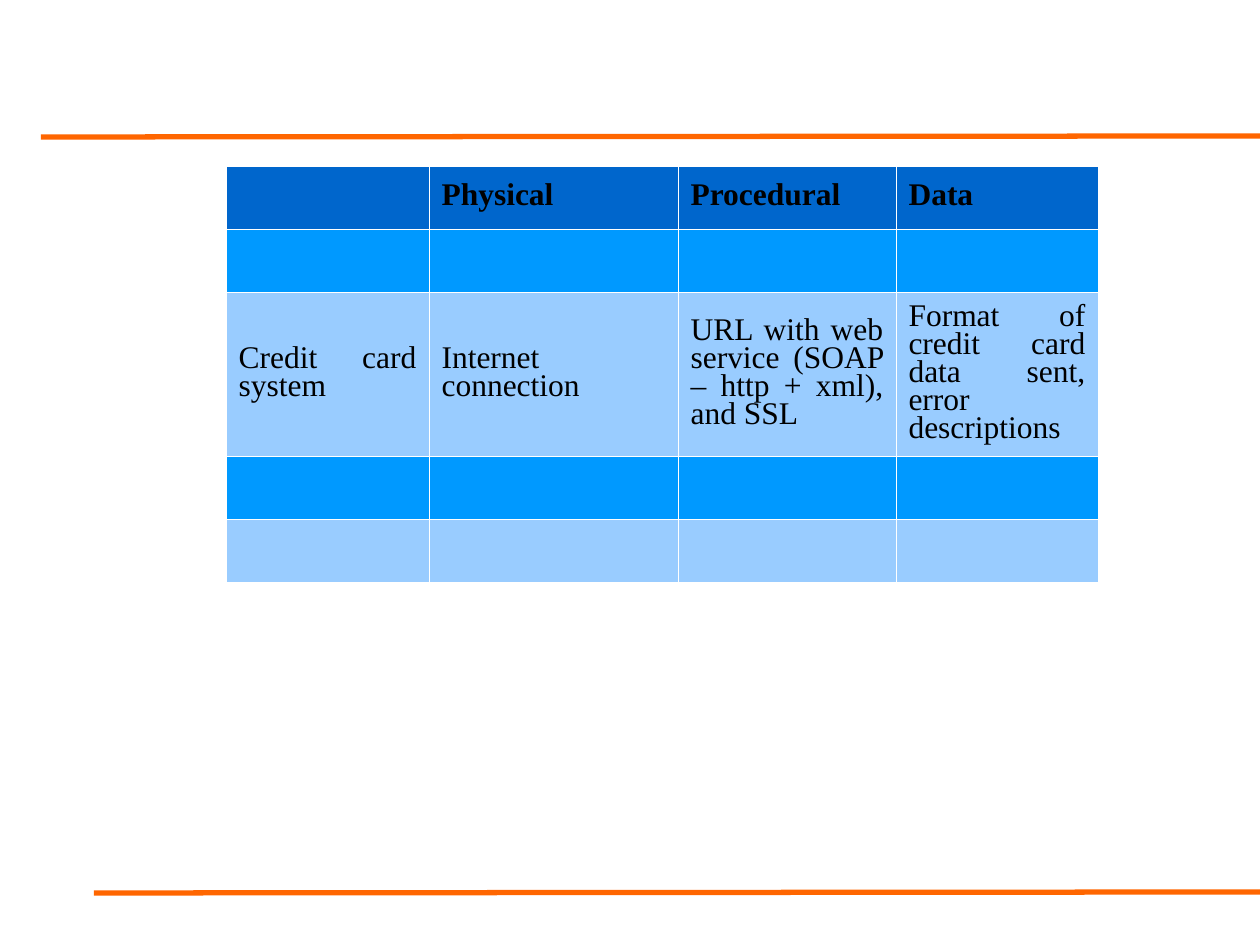
import pptx
import pptx.dml.color
import pptx.enum.shapes
import pptx.enum.text
import pptx.oxml.ns
import pptx.util
import lxml.etree

ORANGE = pptx.dml.color.RGBColor(0xFF, 0x66, 0x00)
NAVY = pptx.dml.color.RGBColor(0x00, 0x66, 0xCC)
AZURE = pptx.dml.color.RGBColor(0x00, 0x99, 0xFF)
PALE = pptx.dml.color.RGBColor(0x99, 0xCC, 0xFF)
WHITE = pptx.dml.color.RGBColor(0xFF, 0xFF, 0xFF)
BLACK = pptx.dml.color.RGBColor(0x00, 0x00, 0x00)

EMU_PER_PX = 914400 / 126
HAIRLINE = pptx.util.Pt(0.06)

COLUMN_WIDTHS = [203, 249, 218, 202]
ROW_HEIGHTS = [63, 63, 164, 63, 63]
INTERFACES = [
    ["", "Physical", "Procedural", "Data"],
    [""] * 4,
    [
        "Credit card system",
        "Internet connection",
        "URL with web service (SOAP – http + xml), and SSL ",
        "Format of credit card data sent, error descriptions",
    ],
    [""] * 4,
    [""] * 4,
]


def px(length):
    return pptx.util.Emu(round(length * EMU_PER_PX))


def add_child(parent, tag, **attributes):
    child = lxml.etree.SubElement(parent, pptx.oxml.ns.qn(tag))
    for name, value in attributes.items():
        child.set(name, str(value))
    return child


class SlideBuilder:
    font_name = "Times New Roman"
    font_size = pptx.util.Pt(18)

    def __init__(self, slide):
        self.slide = slide

    def rule(self, x1, y1, x2, y2):
        rule = self.slide.shapes.add_connector(
            pptx.enum.shapes.MSO_CONNECTOR.STRAIGHT, px(x1), px(y1), px(x2), px(y2))
        rule.line.color.rgb = ORANGE
        rule.line.width = pptx.util.Pt(3)
        add_child(rule._element.spPr, "a:effectLst")

    def table(self, left, top, widths, heights, rows):
        table = self.slide.shapes.add_table(
            len(heights), len(widths), px(left), px(top),
            px(sum(widths)), px(sum(heights))).table
        for column, width in zip(table.columns, widths):
            column.width = px(width)
        for row_index, (row, height) in enumerate(zip(table.rows, heights)):
            row.height = px(height)
            fill = NAVY if row_index == 0 else AZURE if row_index % 2 else PALE
            for cell, words in zip(row.cells, rows[row_index]):
                self.cell(cell, words, fill, row_index == 0)

    def cell(self, cell, words, fill, bold):
        properties = cell._tc.get_or_add_tcPr()
        for side in ("a:lnL", "a:lnR", "a:lnT", "a:lnB"):
            border = add_child(properties, side, w=HAIRLINE)
            add_child(add_child(border, "a:solidFill"), "a:srgbClr", val=WHITE)
        cell.fill.solid()
        cell.fill.fore_color.rgb = fill
        cell.vertical_anchor = pptx.enum.text.MSO_ANCHOR.MIDDLE
        if words:
            self.cell_text(cell.text_frame.paragraphs[0], words, bold)

    def cell_text(self, paragraph, words, bold):
        tabs = add_child(paragraph._p.get_or_add_pPr(), "a:tabLst")
        for stop in range(8):
            add_child(tabs, "a:tab", pos=stop * 457200, algn="l")
        paragraph.alignment = pptx.enum.text.PP_ALIGN.JUSTIFY
        paragraph.line_spacing = 0.8
        paragraph.space_after = pptx.util.Pt(3.4)
        run = paragraph.add_run()
        run.text = words
        run.font.name = self.font_name
        run.font.size = self.font_size
        run.font.bold = bold
        run.font.color.rgb = BLACK


def main():
    presentation = pptx.Presentation()
    presentation.slide_width = px(1260)
    presentation.slide_height = px(945)
    builder = SlideBuilder(presentation.slides.add_slide(presentation.slide_layouts[6]))
    builder.rule(1261, 136, 41, 137)
    builder.rule(1260, 892, 94, 893)
    builder.table(226, 166, COLUMN_WIDTHS, ROW_HEIGHTS, INTERFACES)
    presentation.save("out.pptx")


if __name__ == "__main__":
    main()
